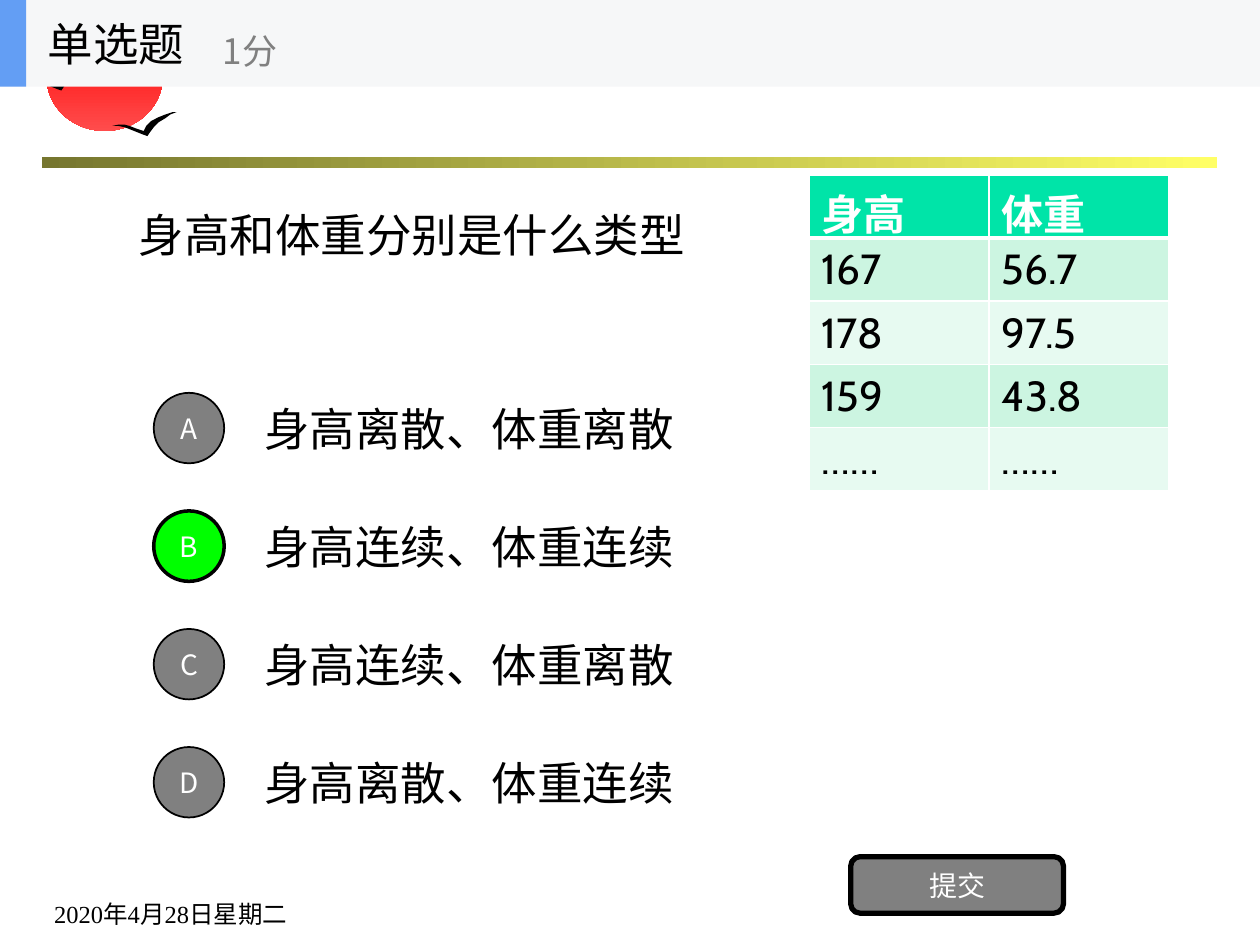
from lxml import etree
from pptx import Presentation
from pptx.dml.color import RGBColor
from pptx.enum import shapes, text
from pptx.oxml.ns import qn
from pptx.util import Cm, Pt

BLACK = RGBColor(0x00, 0x00, 0x00)
WHITE = RGBColor(0xFF, 0xFF, 0xFF)
GRAY = RGBColor(0x80, 0x80, 0x80)
GREEN = RGBColor(0x00, 0xFF, 0x00)
OLIVE = RGBColor(0x76, 0x76, 0x2F)
YELLOW = RGBColor(0xFF, 0xFF, 0x66)
RED = RGBColor(0xFF, 0x00, 0x00)
LIGHT_RED = RGBColor(0xFF, 0x4C, 0x4C)
HEADER_BG = RGBColor(0xF6, 0xF7, 0xF8)
HEADER_BLUE = RGBColor(0x63, 0x9E, 0xF4)
TABLE_HEAD = RGBColor(0x00, 0xE4, 0xA8)
TABLE_BANDS = [RGBColor(0xCC, 0xF5, 0xE1), RGBColor(0xE7, 0xFA, 0xF1)]

SANS = "Noto Sans CJK SC"
SERIF = "Times New Roman"
TABLE_FONT = "Cabin"

# Outline of a gull on a 51 x 19 grid
GULL = [(0, 11), (5, 10), (10, 10), (14, 11), (19, 13), (25, 15), (27, 11),
        (31, 7), (37, 4), (42, 2), (48, 0), (51, 0), (46, 2), (42, 5),
        (37, 8), (33, 12), (30, 16), (28, 19), (25, 18), (20, 16),
        (15, 14), (10, 12), (5, 11)]


def write(frame, words, size, color, font=SANS, bold=False,
          align=text.PP_ALIGN.LEFT):
    frame.text = words
    paragraph = frame.paragraphs[0]
    paragraph.alignment = align
    for run in paragraph.runs:
        run.font.size = Pt(size)
        run.font.bold = bold
        run.font.name = font
        run.font.color.rgb = color
        east_asian = etree.SubElement(run.font._element, qn("a:ea"))
        east_asian.set("typeface", SANS)


def add_label(slide, box, words, size, color, font=SANS, wrap=True,
              anchor=text.MSO_ANCHOR.MIDDLE):
    frame = slide.shapes.add_textbox(*map(Cm, box)).text_frame
    frame.word_wrap = wrap
    frame.vertical_anchor = anchor
    write(frame, words, size, color, font)


def add_plain(slide, kind, box, color=None, line=0):
    shape = slide.shapes.add_shape(kind, *map(Cm, box))
    shape.shadow.inherit = False
    if color is not None:
        shape.fill.solid()
        shape.fill.fore_color.rgb = color
    if line:
        shape.line.color.rgb = BLACK
        shape.line.width = Pt(line)
    else:
        shape.line.fill.background()
    return shape


def add_button(slide, kind, box, words, color, line):
    frame = add_plain(slide, kind, box, color, line).text_frame
    frame.margin_left = frame.margin_right = 0
    frame.margin_top = frame.margin_bottom = 0
    frame.vertical_anchor = text.MSO_ANCHOR.MIDDLE
    write(frame, words, 16, WHITE, align=text.PP_ALIGN.CENTER)


def fade(shape, start, end, angle):
    shape.fill.gradient()
    shape.fill.gradient_angle = angle
    for stop, color in zip(shape.fill.gradient_stops, (start, end)):
        stop.color.rgb = color


def add_gull(slide, left, top, width):
    builder = slide.shapes.build_freeform(*GULL[0], scale=Cm(width) / 51)
    builder.add_line_segments(GULL[1:], close=True)
    gull = builder.convert_to_shape(Cm(left), Cm(top))
    gull.shadow.inherit = False
    gull.fill.solid()
    gull.fill.fore_color.rgb = BLACK
    gull.line.fill.background()


def add_backdrop(slide, left, top, width):
    # Rule, sun and two gulls
    rule = add_plain(slide, shapes.MSO_SHAPE.RECTANGLE,
                     (left, top + 2.69, width, 0.21))
    fade(rule, OLIVE, YELLOW, 0)
    sun = add_plain(slide, shapes.MSO_SHAPE.OVAL,
                    (left + 0.1, top, 2.34, 2.16))
    fade(sun, RED, LIGHT_RED, 270)
    add_gull(slide, left - 0.2, top + 0.94, 1.09)
    add_gull(slide, left + 1.42, top + 1.78, 1.3)


def add_question(slide, box, words):
    title = slide.shapes.title
    title.left, title.top, title.width, title.height = map(Cm, box)
    title.text_frame.word_wrap = True
    title.text_frame.vertical_anchor = text.MSO_ANCHOR.MIDDLE
    write(title.text_frame, words, 26, BLACK)


def add_options(slide, left, top, options, answer):
    pitch = 2.38
    for i, (letter, words) in enumerate(options):
        y = top + i * pitch
        chosen = letter == answer
        add_label(slide, (left + 1.98, y, 17.78, 1.78), words, 26, BLACK)
        add_button(slide, shapes.MSO_SHAPE.OVAL,
                   (left, y + 0.18, 1.42, 1.42), letter,
                   GREEN if chosen else GRAY, 2 if chosen else 1)


def add_border(cell, side, width):
    line = etree.SubElement(cell._tc.get_or_add_tcPr(), qn("a:" + side),
                            w=str(Pt(width)))
    fill = etree.SubElement(line, qn("a:solidFill"))
    etree.SubElement(fill, qn("a:srgbClr"), val=str(WHITE))


def add_measurements(slide, box, rows):
    table = slide.shapes.add_table(len(rows), len(rows[0]),
                                   *map(Cm, box)).table
    for r, values in enumerate(rows):
        head = r == 0
        for c, value in enumerate(values):
            cell = table.cell(r, c)
            # Thick border between the head and the body
            for side, width in (("lnL", 1), ("lnR", 1),
                                ("lnT", 3 if r == 1 else 1),
                                ("lnB", 3 if head else 1)):
                add_border(cell, side, width)
            cell.fill.solid()
            cell.fill.fore_color.rgb = (TABLE_HEAD if head
                                        else TABLE_BANDS[(r - 1) % 2])
            write(cell.text_frame, value, 24, WHITE if head else BLACK,
                  TABLE_FONT, head)


def add_header(slide, left, top, width, height):
    bar = shapes.MSO_SHAPE.RECTANGLE
    add_plain(slide, bar, (left, top, width, height), HEADER_BG)
    add_plain(slide, bar, (left, top, 0.53, height), HEADER_BLUE)
    add_label(slide, (left + 0.71, top, 5.28, height), "单选题", 26, BLACK,
              wrap=False)
    add_label(slide, (left + 4.24, top + 0.3, 6.35, 1.42), "1分", 20, GRAY,
              wrap=False)


def main():
    deck = Presentation()
    deck.slide_width, deck.slide_height = Cm(25.4), Cm(19.05)
    slide = deck.slides.add_slide(deck.slide_layouts[5])

    add_backdrop(slide, 0.84, 0.48, 23.7)
    add_label(slide, (0.84, 17.58, 6.98, 1.27), "2020年4月28日星期二", 14,
              BLACK, SERIF, anchor=text.MSO_ANCHOR.BOTTOM)
    add_question(slide, (2.54, 1.75, 20.32, 5.94), "身高和体重分别是什么类型")
    add_options(slide, 3.1, 7.74,
                [("A", "身高离散、体重离散"), ("B", "身高连续、体重连续"),
                 ("C", "身高连续、体重离散"), ("D", "身高离散、体重连续")],
                answer="B")
    add_button(slide, shapes.MSO_SHAPE.ROUNDED_RECTANGLE,
               (17.15, 17.27, 4.29, 1.14), "提交", GRAY, 3)
    add_measurements(slide, (16.31, 3.53, 7.26, 6.35),
                     [("身高", "体重"), ("167", "56.7"), ("178", "97.5"),
                      ("159", "43.8"), ("……", "……")])
    add_header(slide, 0, 0, 25.4, 1.75)

    deck.save("out.pptx")


if __name__ == "__main__":
    main()
